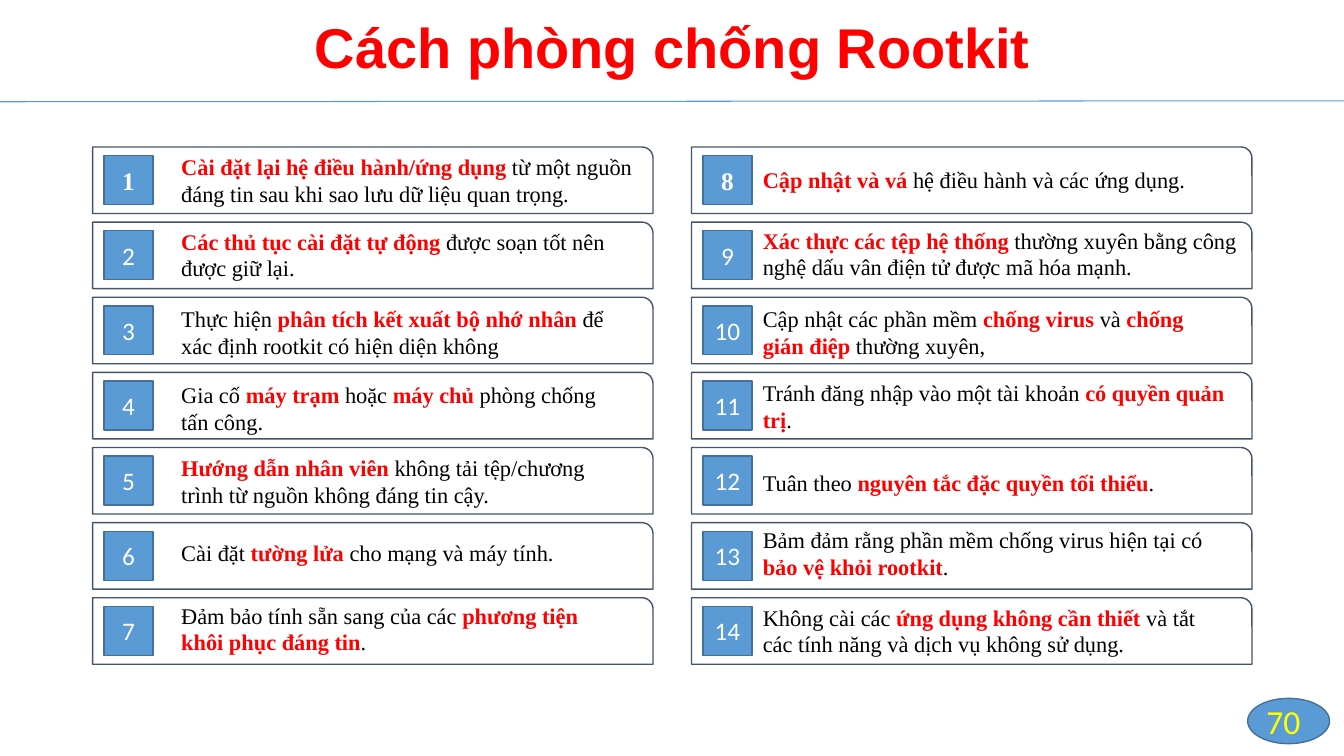
from dataclasses import dataclass

import pptx
import pptx.dml.color
import pptx.enum.shapes
import pptx.enum.text
import pptx.oxml.ns
import pptx.util
from lxml import etree

Pt = pptx.util.Pt
Shape = pptx.enum.shapes.MSO_SHAPE
Align = pptx.enum.text.PP_ALIGN
Anchor = pptx.enum.text.MSO_ANCHOR


@dataclass(frozen=True)
class Theme:
    red: str = "FF0000"
    black: str = "000000"
    white: str = "FFFFFF"
    yellow: str = "FFFF00"
    blue: str = "5B9BD5"
    blue_edge: str = "42719B"
    slate: str = "44546A"
    title_font: str = "Arial"
    body_font: str = "Times New Roman"
    number_font: str = "Calibri"
    title_size: int = 40
    page_size: int = 24
    badge_size: int = 18
    body_size: int = 16


THEME = Theme()
ROW_TOP = 105
ROW_PITCH = 53.67
CARD_WIDTH = 400.3
CARD_HEIGHT = 47.5
BADGE_SIDE = 35
BADGE_INSET = 6.1
COLUMN_LEFTS = (66.2, 494)
TIP_LEFTS = (122.4, 537.8)

# marks the emphasised words of a tip
MARK = "*"

TIPS = (
    (
        (105.8, 340.6, "*Cài đặt lại hệ điều hành/ứng dụng* từ một nguồn đáng tin sau khi sao lưu dữ liệu quan trọng."),
        (159.1, 331.2, "*Các thủ tục cài đặt tự động *được soạn tốt nên được giữ lại."),
        (214.6, 331.2, "Thực hiện *phân tích kết xuất bộ nhớ nhân *để xác định rootkit có hiện diện không"),
        (268.6, 331.2, "Gia cố *máy trạm *hoặc *máy chủ* phòng chống tấn công."),
        (321.1, 331.2, "*Hướng dẫn nhân viên *không tải tệp/chương trình từ nguồn không đáng tin cậy."),
        (381.6, 331.2, "Cài đặt *tường lửa *cho mạng và máy tính."),
        (426.2, 331.2, "Đảm bảo tính sẵn sang của các *phương tiện khôi phục đáng tin*."),
    ),
    (
        (115.2, 331.2, "*Cập nhật và vá *hệ điều hành và các ứng dụng."),
        (158.4, 356.4, "*Xác thực các tệp hệ thống* thường xuyên bằng công nghệ dấu vân điện tử được mã hóa mạnh."),
        (214.6, 342, "Cập nhật các phần mềm *chống virus *và *chống gián điệp* thường xuyên,"),
        (267.1, 349.2, "Tránh đăng nhập vào một tài khoản *có quyền quản trị*."),
        (331.2, 331.2, "Tuân theo *nguyên tắc đặc quyền tối thiểu*."),
        (372.2, 331.2, "Bảm đảm rằng phần mềm chống virus hiện tại có *bảo vệ khỏi rootkit*."),
        (427.7, 342, "Không cài các *ứng dụng không cần thiết *và tắt các tính năng và dịch vụ không sử dụng."),
    ),
)


def color(value):
    return pptx.dml.color.RGBColor.from_string(value)


def style(span, font, size, ink, bold=False):
    span.font.name = font
    span.font.size = Pt(size)
    span.font.color.rgb = color(ink)
    span.font.bold = bold


def add_panel(page, kind, left, top, width, height, fill, edge):
    panel = page.shapes.add_shape(kind, Pt(left), Pt(top), Pt(width), Pt(height))
    panel.shadow.inherit = False
    panel.fill.solid()
    panel.fill.fore_color.rgb = color(fill)
    panel.line.color.rgb = color(edge)
    panel.line.width = Pt(1)
    return panel


def add_badge(page, left, top, number, bold):
    badge = add_panel(page, Shape.RECTANGLE, left, top, BADGE_SIDE, BADGE_SIDE, THEME.blue, THEME.blue_edge)
    frame = badge.text_frame
    frame.text = str(number)
    frame.vertical_anchor = Anchor.MIDDLE
    para = frame.paragraphs[0]
    para.alignment = Align.CENTER
    font = THEME.body_font if bold else THEME.number_font
    style(para.runs[0], font, THEME.badge_size, THEME.white, bold)


def add_text(page, left, top, width, height, text="", align=Align.LEFT, anchor=Anchor.TOP):
    box = page.shapes.add_textbox(Pt(left), Pt(top), Pt(width), Pt(height))
    frame = box.text_frame
    frame.word_wrap = True
    frame.vertical_anchor = anchor
    frame.text = text
    para = frame.paragraphs[0]
    para.alignment = align
    return para


def add_tip(page, left, top, width, text):
    para = add_text(page, left, top, width, CARD_HEIGHT - 1.5)
    for index, words in enumerate(text.split(MARK)):
        if words:
            span = para.add_run()
            span.text = words
            strong = index % 2 == 1
            style(span, THEME.body_font, THEME.body_size, THEME.red if strong else THEME.black, strong)


def add_rule(page):
    rule = page.shapes.add_connector(
        pptx.enum.shapes.MSO_CONNECTOR.STRAIGHT, Pt(0), Pt(72.7), Pt(960), Pt(72))
    rule.line.color.rgb = color(THEME.blue)
    rule.line.width = Pt(0.75)
    etree.SubElement(rule._element.spPr, pptx.oxml.ns.qn("a:effectLst"))


def add_title(page, text):
    para = add_text(page, 66.2, 0, 828, 72, text, Align.CENTER, Anchor.MIDDLE)
    para.line_spacing = 0.9
    style(para.runs[0], THEME.title_font, THEME.title_size, THEME.red, True)


def add_page_number(page, number):
    add_panel(page, Shape.OVAL, 891.2, 498.8, 58.5, 32.4, THEME.blue, THEME.blue_edge)
    para = add_text(page, 720, 500.4, 216, 28.8, number, Align.RIGHT, Anchor.MIDDLE)
    style(para.runs[0], THEME.number_font, THEME.page_size, THEME.yellow)


def add_column(page, left, tip_left, tips, first_number):
    for row, (tip_top, tip_width, text) in enumerate(tips):
        top = ROW_TOP + row * ROW_PITCH
        add_panel(page, Shape.ROUND_1_RECTANGLE, left, top, CARD_WIDTH, CARD_HEIGHT, THEME.white, THEME.slate)
        add_badge(page, left + 2 + BADGE_INSET, top + BADGE_INSET, first_number + row, row == 0)
        add_tip(page, tip_left, tip_top, tip_width, text)


def main():
    deck = pptx.Presentation()
    deck.slide_width = Pt(960)
    deck.slide_height = Pt(540)
    page = deck.slides.add_slide(deck.slide_layouts[6])
    add_rule(page)
    add_title(page, "Cách phòng chống Rootkit")
    first_number = 1
    for left, tip_left, tips in zip(COLUMN_LEFTS, TIP_LEFTS, TIPS):
        add_column(page, left, tip_left, tips, first_number)
        first_number += len(tips)
    add_page_number(page, "70")
    deck.save("out.pptx")


if __name__ == "__main__":
    main()
